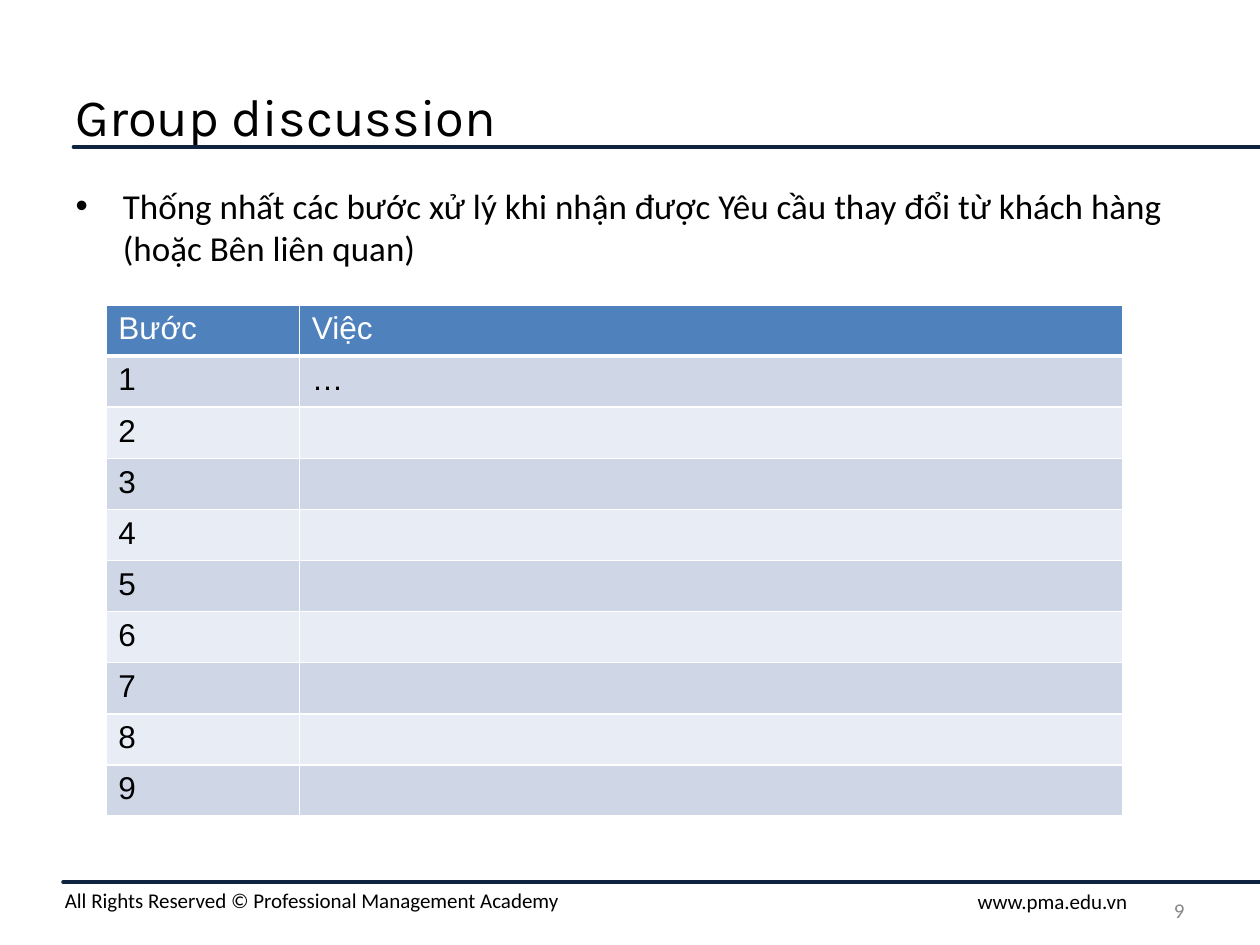
"""Build the group discussion slide with its table of steps."""
import dataclasses
import typing

import lxml.etree
import pptx
import pptx.dml.color
import pptx.enum.shapes
import pptx.enum.text
import pptx.oxml.ns
import pptx.util

Pt = pptx.util.Pt
Align = pptx.enum.text.PP_ALIGN
Anchor = pptx.enum.text.MSO_ANCHOR


@dataclasses.dataclass(frozen=True)
class Theme:
    ink: str = "000000"
    paper: str = "FFFFFF"
    rule: str = "0F243E"
    muted: str = "888888"
    header: str = "4F81BD"
    bands: tuple[str, str] = ("CFD7E7", "E8ECF4")
    title_font: str = "Karla"
    body_font: str = "Calibri"
    table_font: str = "Arial"
    title_size: float = 30
    body_size: float = 20
    table_size: float = 18
    footer_size: float = 12


@dataclasses.dataclass(frozen=True)
class Area:
    left: float
    top: float
    width: float
    height: float


@dataclasses.dataclass(frozen=True)
class Rule:
    left: float
    top: float


@dataclasses.dataclass(frozen=True)
class Footer:
    text: str
    area: Area
    align: Align = Align.RIGHT
    color: str = "000000"
    anchor: Anchor = Anchor.TOP


THEME = Theme()
PAGE_WIDTH, PAGE_HEIGHT = 720, 540
TITLE_AREA = Area(36, 36, 648, 60)
BODY_AREA = Area(36, 102, 648, 380)
TABLE_AREA = Area(60.5, 174.3, 581.2, 292)
STEP_WIDTH = 110.6
BULLET_INDENT = 27
RULES = [Rule(42, 84), Rule(36, 504)]
FOOTERS = [
    Footer("All Rights Reserved © Professional Management Academy",
           Area(30, 503.5, 690, 21.6), Align.LEFT),
    Footer("www.pma.edu.vn ", Area(486, 504, 168, 21.6)),
    Footer("9", Area(516, 505.5, 168, 28.8), color=THEME.muted, anchor=Anchor.MIDDLE),
]
ROWS = [("Bước", "Việc"), ("1", "…")] + [(str(step), "") for step in range(2, 10)]


def rgb(color: str) -> pptx.dml.color.RGBColor:
    return pptx.dml.color.RGBColor.from_string(color)


def write_text(frame: typing.Any, text: str, *, font: str, size: float,
               color: str = THEME.ink, align: Align = Align.LEFT,
               anchor: Anchor = Anchor.TOP, bullet: str = "") -> None:
    frame.word_wrap = True
    frame.vertical_anchor = anchor
    para = frame.paragraphs[0]
    para.alignment = align
    para.space_before = Pt(0)
    if bullet:
        properties = para._p.get_or_add_pPr()
        properties.set("marL", str(Pt(BULLET_INDENT)))
        properties.set("indent", str(-Pt(BULLET_INDENT)))
        face = lxml.etree.SubElement(properties, pptx.oxml.ns.qn("a:buFont"))
        face.set("typeface", "Arial")
        mark = lxml.etree.SubElement(properties, pptx.oxml.ns.qn("a:buChar"))
        mark.set("char", bullet)
    span = para.add_run()
    span.text = text
    span.font.name = font
    span.font.size = Pt(size)
    span.font.bold = False
    span.font.color.rgb = rgb(color)


def place(shape: typing.Any, area: Area) -> None:
    shape.left, shape.top = Pt(area.left), Pt(area.top)
    shape.width, shape.height = Pt(area.width), Pt(area.height)


def draw_rule(page: typing.Any, rule: Rule) -> None:
    line = page.shapes.add_connector(
        pptx.enum.shapes.MSO_CONNECTOR.STRAIGHT,
        Pt(rule.left), Pt(rule.top), Pt(PAGE_WIDTH), Pt(rule.top))
    line.line.color.rgb = rgb(THEME.rule)
    line.line.width = Pt(2)
    line.line._get_or_add_ln().set("cap", "rnd")
    lxml.etree.SubElement(line._element.spPr, pptx.oxml.ns.qn("a:effectLst"))


def draw_footer(page: typing.Any, footer: Footer) -> None:
    area = footer.area
    box = page.shapes.add_textbox(Pt(area.left), Pt(area.top), Pt(area.width), Pt(area.height))
    write_text(box.text_frame, footer.text, font=THEME.body_font, size=THEME.footer_size,
               color=footer.color, align=footer.align, anchor=footer.anchor)


def add_borders(cell: typing.Any, widths: dict[str, float]) -> None:
    properties = cell._tc.get_or_add_tcPr()
    for side, width in widths.items():
        line = lxml.etree.SubElement(properties, pptx.oxml.ns.qn(f"a:{side}"))
        line.set("w", str(Pt(width)))
        fill = lxml.etree.SubElement(line, pptx.oxml.ns.qn("a:solidFill"))
        color = lxml.etree.SubElement(fill, pptx.oxml.ns.qn("a:srgbClr"))
        color.set("val", THEME.paper)


def draw_table(page: typing.Any, area: Area) -> None:
    table = page.shapes.add_table(
        len(ROWS), len(ROWS[0]), Pt(area.left), Pt(area.top),
        Pt(area.width), Pt(area.height)).table
    table.columns[0].width = Pt(STEP_WIDTH)
    table.columns[1].width = Pt(area.width - STEP_WIDTH)
    for index, values in enumerate(ROWS):
        is_header = index == 0
        table.rows[index].height = Pt(area.height / len(ROWS))
        for column, text in enumerate(values):
            cell = table.cell(index, column)
            add_borders(cell, {"lnL": 1, "lnR": 1, "lnT": 3 if index == 1 else 1,
                               "lnB": 3 if is_header else 1})
            cell.fill.solid()
            cell.fill.fore_color.rgb = rgb(THEME.header if is_header else THEME.bands[(index - 1) % 2])
            if text:
                write_text(cell.text_frame, text, font=THEME.table_font, size=THEME.table_size,
                           color=THEME.paper if is_header else THEME.ink)


def main() -> None:
    deck = pptx.Presentation()
    deck.slide_width, deck.slide_height = Pt(PAGE_WIDTH), Pt(PAGE_HEIGHT)
    page = deck.slides.add_slide(deck.slide_layouts[1])
    for rule in RULES:
        draw_rule(page, rule)
    for footer in FOOTERS:
        draw_footer(page, footer)
    title, body = page.shapes.title, page.placeholders[1]
    place(title, TITLE_AREA)
    place(body, BODY_AREA)
    for holder in (title, body):
        holder.text_frame.auto_size = pptx.enum.text.MSO_AUTO_SIZE.NONE
    write_text(title.text_frame, "Group discussion", font=THEME.title_font,
               size=THEME.title_size, anchor=Anchor.MIDDLE)
    write_text(body.text_frame,
               "Thống nhất các bước xử lý khi nhận được Yêu cầu thay đổi từ khách hàng "
               "(hoặc Bên liên quan)",
               font=THEME.body_font, size=THEME.body_size, bullet="•")
    draw_table(page, TABLE_AREA)
    deck.save("out.pptx")


if __name__ == "__main__":
    main()
